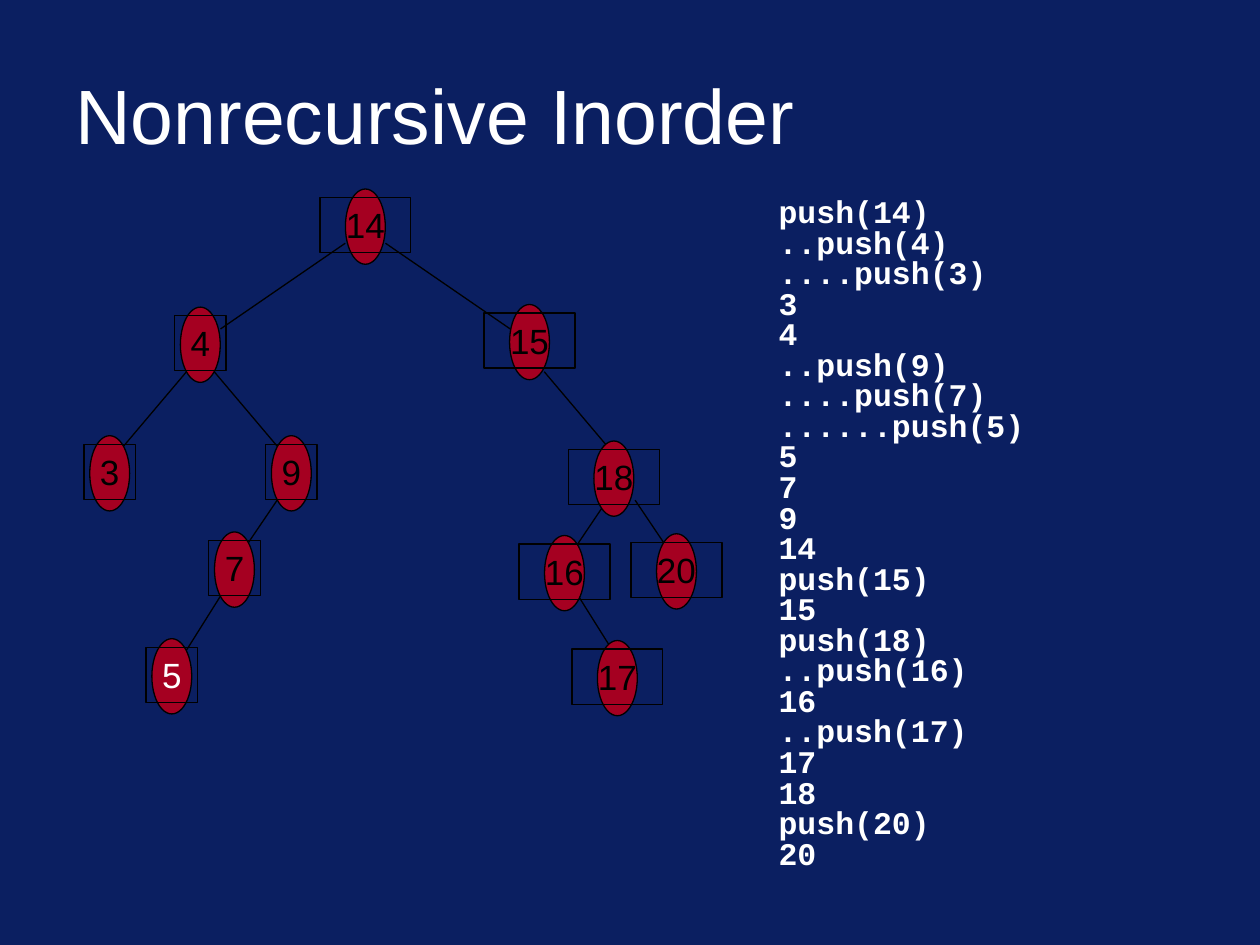
from lxml import etree
from pptx import Presentation
from pptx.dml.color import RGBColor
from pptx.enum import shapes, text
from pptx.oxml import ns
from pptx.util import Pt

COLORS = {"navy": "0B1F61", "red": "A50021", "black": "000000", "white": "FFFFFF"}

TITLE_BOX = (36, 28.8, 648, 72)
TREE_BOX = (48, 108, 364, 301)
TRACE_BOX = (437.8, 113.8, 221.8, 396)

# Node value: centre x and top y inside the tree box
NODES = {
    14: (160.8, 0), 4: (66.5, 67.5), 9: (118.5, 141), 7: (86, 196),
    3: (14.7, 141), 5: (50.2, 257), 15: (254.6, 66), 16: (274.6, 198),
    17: (304.8, 258), 18: (302.8, 144), 20: (338.6, 197),
}
# Top and bottom y of the edges below each level, then (level, from x, to x)
LEVELS = [(31, 80), (104.4, 147), (177.8, 202.3), (232.6, 263.5)]
EDGES = [
    (0, 149.3, 78), (0, 172.3, 243.6), (1, 58.6, 22.6), (1, 74.4, 110.4),
    (1, 263, 299), (2, 110.4, 93.8), (2, 299, 282.5), (2, 314.9, 331.4),
    (3, 78, 58.6), (3, 282.5, 301.9),
]
NODE_WIDTH, NODE_HEIGHT = 22.8, 43
LABEL_DROP, LABEL_HEIGHT = 4.9, 31.5

TRACE = """push(14)
..push(4)
....push(3)
3
4
..push(9)
....push(7)
......push(5)
5
7
9
14
push(15)
15
push(18)
..push(16)
16
..push(17)
17
18
push(20)
20""".splitlines()


def color(name):
    return RGBColor.from_string(COLORS[name])


def set_font(para, name, size, shade, bold=False):
    para.font.name = name
    para.font.size = Pt(size)
    para.font.bold = bold
    para.font.color.rgb = color(shade)


def outline(shape):
    shape.line.color.rgb = color("black")
    shape.line.width = Pt(0.75)


def add_title(page, box):
    frame = page.shapes.add_textbox(*map(Pt, box)).text_frame
    frame.word_wrap = True
    frame.vertical_anchor = text.MSO_ANCHOR.MIDDLE
    frame.text = "Nonrecursive Inorder"
    set_font(frame.paragraphs[0], "Arial", 44, "white")


def add_trace(page, box):
    """List the stack calls and visited values, one a line."""
    frame = page.shapes.add_textbox(*map(Pt, box)).text_frame
    frame.word_wrap = True
    frame.text = "\n".join(TRACE)
    for para in frame.paragraphs:
        set_font(para, "Courier New", 18, "white", bold=True)
        para.line_spacing = 0.6
        para.space_before = Pt(4.5)
        indent = para._p.get_or_add_pPr()
        indent.set("marL", str(Pt(27)))
        indent.set("indent", str(Pt(-27)))


def add_edge(page, start, end):
    edge = page.shapes.add_connector(
        shapes.MSO_CONNECTOR.STRAIGHT, *map(Pt, start + end))
    outline(edge)
    etree.SubElement(edge._element.spPr, ns.qn("a:effectLst"))


def add_node(page, value, center, top):
    oval = page.shapes.add_shape(
        shapes.MSO_SHAPE.OVAL, Pt(center - NODE_WIDTH / 2), Pt(top),
        Pt(NODE_WIDTH), Pt(NODE_HEIGHT))
    oval.shadow.inherit = False
    oval.fill.solid()
    oval.fill.fore_color.rgb = color("red")
    outline(oval)

    width = 52 if value > 9 else 29.4
    label = page.shapes.add_textbox(
        Pt(center - width / 2), Pt(top + LABEL_DROP), Pt(width), Pt(LABEL_HEIGHT))
    outline(label)
    frame = label.text_frame
    frame.word_wrap = True
    frame.text = str(value)
    para = frame.paragraphs[0]
    para.alignment = text.PP_ALIGN.CENTER
    set_font(para, "Arial", 20, "white" if value == 5 else "black")


def add_tree(page, box):
    left, top = box[:2]
    for level, start, end in EDGES:
        upper, lower = LEVELS[level]
        add_edge(page, (left + start, top + upper), (left + end, top + lower))
    for value, (center, node_top) in NODES.items():
        add_node(page, value, left + center, top + node_top)


def main():
    deck = Presentation()
    deck.slide_width, deck.slide_height = Pt(720), Pt(540)
    page = deck.slides.add_slide(deck.slide_layouts[6])
    page.background.fill.solid()
    page.background.fill.fore_color.rgb = color("navy")
    add_title(page, TITLE_BOX)
    add_trace(page, TRACE_BOX)
    add_tree(page, TREE_BOX)
    deck.save("out.pptx")


if __name__ == "__main__":
    main()
